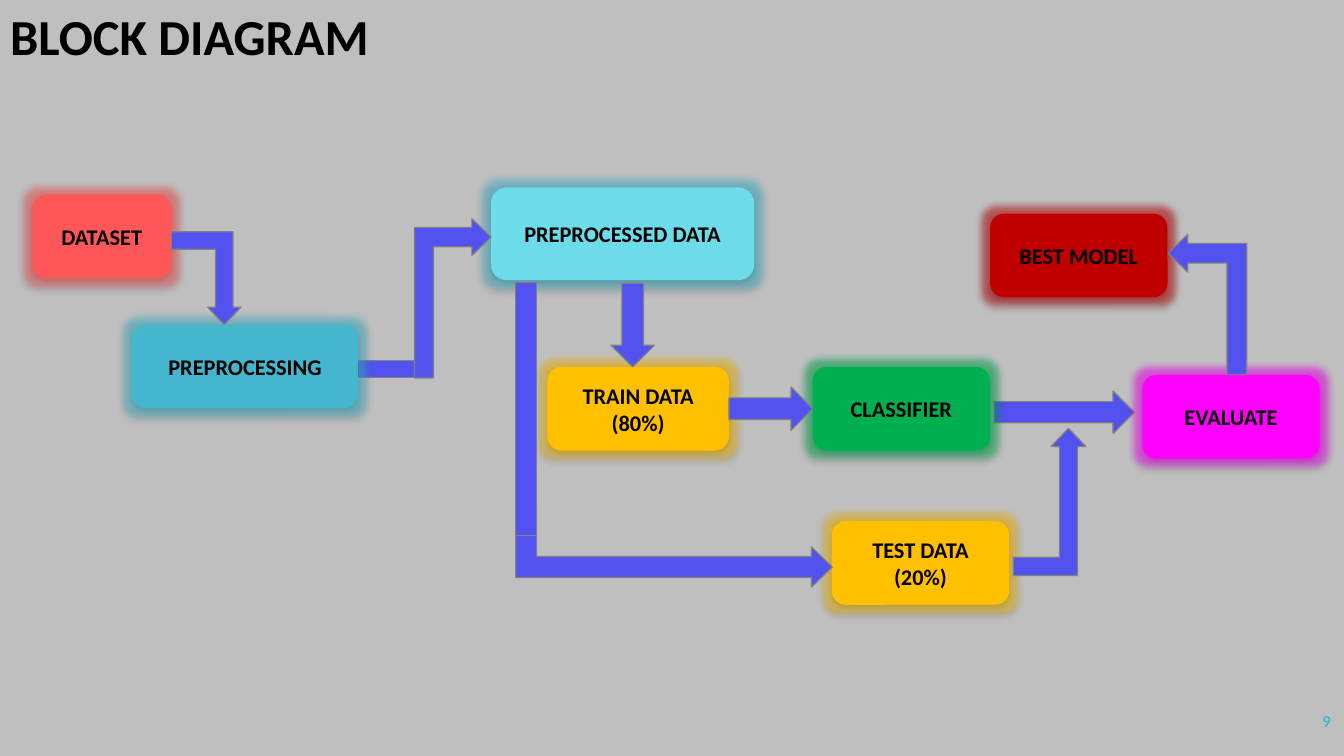
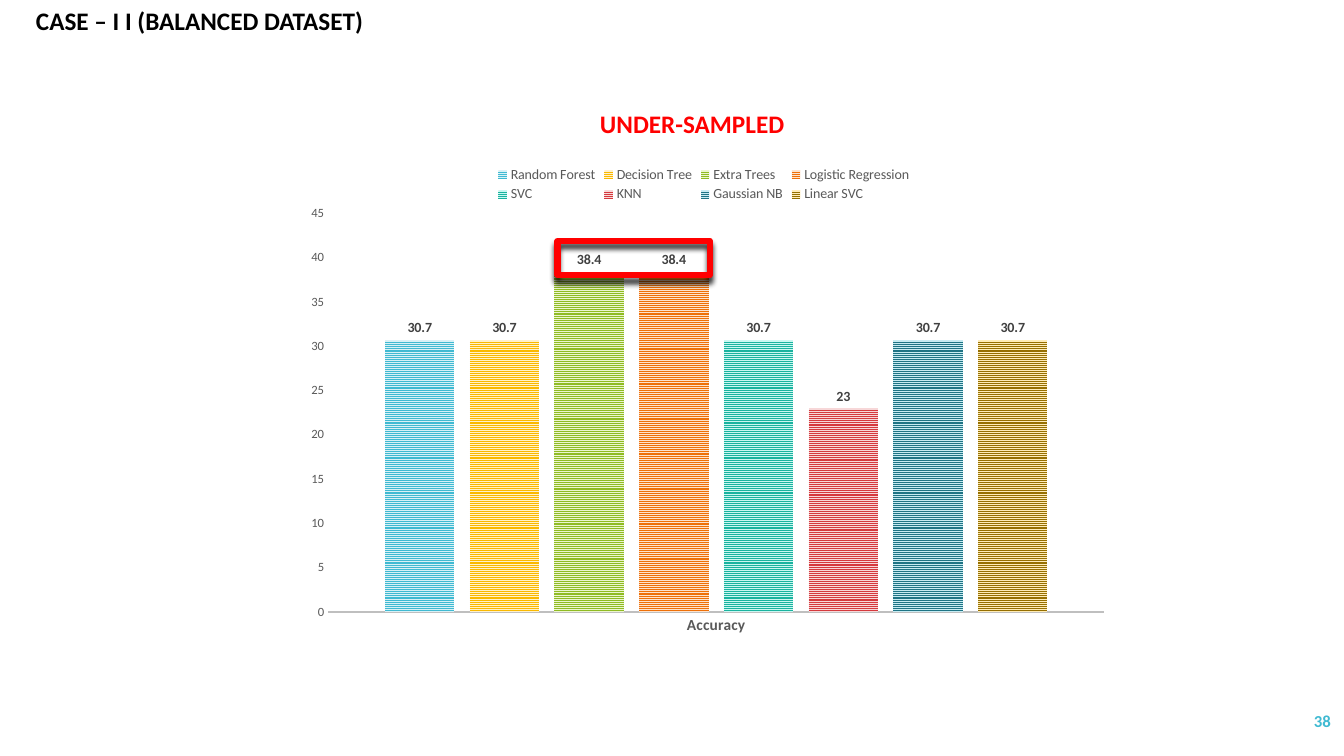
from lxml import etree
from pptx import Presentation
from pptx.chart.data import CategoryChartData
from pptx.dml.color import RGBColor
from pptx.enum.chart import XL_CHART_TYPE, XL_LABEL_POSITION, XL_LEGEND_POSITION, XL_TICK_MARK
from pptx.enum.dml import MSO_PATTERN
from pptx.enum.shapes import MSO_SHAPE
from pptx.enum.text import MSO_ANCHOR, MSO_AUTO_SIZE, PP_ALIGN
from pptx.oxml.ns import qn
from pptx.util import Pt

PX = 9144
LEFT, MID, RIGHT = PP_ALIGN.LEFT, PP_ALIGN.CENTER, PP_ALIGN.RIGHT
TOP, CENTER = MSO_ANCHOR.TOP, MSO_ANCHOR.MIDDLE
FIXED = MSO_AUTO_SIZE.NONE
ROUND, RECT = MSO_SHAPE.ROUNDED_RECTANGLE, MSO_SHAPE.RECTANGLE
UP, BENT, EAST = MSO_SHAPE.UP_ARROW, MSO_SHAPE.BENT_UP_ARROW, MSO_SHAPE.RIGHT_ARROW
COLUMN = XL_CHART_TYPE.COLUMN_CLUSTERED
OUTER = XL_LABEL_POSITION.OUTSIDE_END
ABOVE = XL_LEGEND_POSITION.TOP
NO_TICK = XL_TICK_MARK.NONE
STRIPE = MSO_PATTERN.NARROW_HORIZONTAL

HUE = {
    "ink": "000000", "white": "FFFFFF", "gray": "BFBFBF", "edge": "808080",
    "arrow": "5252F0", "teal": "40BAD2", "coral": "FF5757", "aqua": "6CDBEA",
    "gold": "FFC000", "green": "00B050", "wine": "C00000", "pink": "FF00FF",
    "red": "FF0000", "label": "404040", "axis": "595959",
}
TITLE = {"size": 36, "bold": True, "color": "ink"}
CASE = {"size": 18, "bold": True, "color": "ink"}
HEAD = {"size": 18, "bold": True, "color": "red"}
BOX = {"size": 16, "bold": True, "color": "ink"}
PAGE = {"size": 12, "bold": True, "color": "teal"}
TICK = {"size": 9, "bold": False, "color": "axis"}
GROUP = {"size": 11, "bold": True, "color": "axis"}
KEY = {"size": 10, "bold": False, "color": "axis"}
VALUE = {"size": 10, "bold": True, "color": "label"}

BOXES = [
    ("DATASET", (32, 193, 138, 83), "coral", "coral"),
    ("PREPROCESSED DATA", (487, 186, 261, 92), "aqua", "teal"),
    ("TRAIN DATA (80%)", (543, 364, 180, 83), "gold", "gold"),
    ("TEST DATA (20%)", (825, 517, 176, 83), "gold", "gold"),
    ("PREPROCESSING", (131, 322, 224, 83), "teal", "teal"),
    ("CLASSIFIER", (806, 364, 176, 83), "green", "green"),
    ("BEST MODEL", (982, 212, 176, 83), "wine", "wine"),
    ("EVALUATE", (1133, 372, 176, 83), "pink", "pink"),
]
BACK = [
    (RECT, (383, 328, 17, 76), 270, False),
    (EAST, (986, 388, 139, 42), 0, False),
]
FRONT = [
    (UP, (606, 281, 43, 83), 180, False),
    (BENT, (170, 230, 69, 92), 0, True),
    (BENT, (370, 258, 158, 76), 270, True),
    (BENT, (1005, 425, 72, 146), 0, False),
    (BENT, (627, 384, 83, 314), 90, False),
    (RECT, (511, 280, 21, 251), 180, False),
    (UP, (743, 364, 43, 83), 90, False),
    (BENT, (1128, 263, 139, 78), 270, False),
]
SERIES = [
    ("Random Forest", 30.7, "40BAD2", "D9F1F6"),
    ("Decision Tree", 30.7, "FAB900", "FFF1CB"),
    ("Extra Trees", 38.4, "90BB23", "EBF6CE"),
    ("Logistic Regression", 38.4, "EE7008", "FDE2CC"),
    ("SVC", 30.7, "1AB39F", "CAF7F1"),
    ("KNN", 23, "D5393D", "F7D7D8"),
    ("Gaussian NB", 30.7, "1F7485", "C7EBF2"),
    ("Linear SVC", 30.7, "966F00", "FFECB7"),
]
PLOT = {"layoutTarget": "inner", "xMode": "edge", "yMode": "edge",
        "x": "0.05", "y": "0.12", "w": "0.93", "h": "0.82"}


def rgb(name):
    return RGBColor.from_string(HUE.get(name, name))


def scale(box):
    return [n * PX for n in box]


def assign(item, values):
    for key, value in values.items():
        setattr(item, key, value)


def style(font, look):
    assign(font, {"name": "Calibri", "size": Pt(look["size"]), "bold": look["bold"]})
    font.color.rgb = rgb(look["color"])


def place(shape, box):
    assign(shape, dict(zip(("left", "top", "width", "height"), scale(box))))


def write(shape, text, look, align=MID, anchor=CENTER):
    frame = shape.text_frame
    assign(frame, {"word_wrap": True, "auto_size": FIXED, "vertical_anchor": anchor})
    line = frame.paragraphs[0]
    line.alignment = align
    run = line.add_run()
    run.text = text
    style(run.font, look)


def note(slide, box, text, look, align, anchor):
    write(slide.shapes.add_textbox(*scale(box)), text, look, align, anchor)


def tint(parent, name, alpha):
    color = etree.SubElement(parent, qn("a:srgbClr"), val=HUE[name])
    etree.SubElement(color, qn("a:alpha"), val=str(alpha * 1000))


def shade(shape, alpha, blur, drop, glow=None):
    prop = shape.element.spPr
    for old in prop.findall(qn("a:effectLst")):
        prop.remove(old)
    group = etree.SubElement(prop, qn("a:effectLst"))
    if glow:
        tint(etree.SubElement(group, qn("a:glow"), rad=str(Pt(11))), glow, 50)
    shadow = etree.SubElement(group, qn("a:outerShdw"), blurRad=str(Pt(blur)),
                              dist=str(Pt(drop)), dir="5400000", rotWithShape="0")
    tint(shadow, "ink", alpha)


def begin(deck, back, box, title, look, align, page):
    slide = deck.slides.add_slide(deck.slide_layouts[5])
    fill = slide.background.fill
    fill.solid()
    fill.fore_color.rgb = rgb(back)
    place(slide.shapes.title, box)
    write(slide.shapes.title, title, look, align, TOP)
    note(slide, (1163, 695, 167, 40), page, PAGE, RIGHT, CENTER)
    return slide


def block(slide, text, box, hue, glow):
    shape = slide.shapes.add_shape(ROUND, *scale(box))
    shape.fill.solid()
    shape.fill.fore_color.rgb = rgb(hue)
    shape.line.fill.background()
    shade(shape, 32, 3.5, 2.2, glow)
    if hue == "teal":
        color = shape.element.spPr.find(qn("a:solidFill"))[0]
        etree.SubElement(color, qn("a:alpha"), val="88000")
    write(shape, text, BOX)


def arrow(slide, kind, box, turn, flip):
    shape = slide.shapes.add_shape(kind, *scale(box))
    shape.shadow.inherit = False
    shape.rotation = turn
    if flip:
        shape.element.spPr.find(qn("a:xfrm")).set("flipV", "1")
    if kind == BENT:
        for i, ratio in enumerate((0.25, 0.24, 0.25)):
            shape.adjustments[i] = ratio
    shape.fill.solid()
    shape.fill.fore_color.rgb = rgb("arrow")
    shape.line.color.rgb = rgb("edge")
    shape.line.width = Pt(0.85)


def flow(deck):
    slide = begin(deck, "gray", (0, 0, 414, 71), "BLOCK DIAGRAM", TITLE, LEFT, "9")
    for part in BACK:
        arrow(slide, *part)
    for part in BOXES:
        block(slide, *part)
    for part in FRONT:
        arrow(slide, *part)


def fit(chart):
    area = chart.element.find(".//" + qn("c:plotArea"))
    for old in area.findall(qn("c:layout")):
        area.remove(old)
    layout = etree.Element(qn("c:layout"))
    area.insert(0, layout)
    manual = etree.SubElement(layout, qn("c:manualLayout"))
    for key, value in PLOT.items():
        etree.SubElement(manual, qn("c:" + key), val=value)


def bars(slide, box):
    data = CategoryChartData()
    data.categories = ["Accuracy"]
    for name, score, *_ in SERIES:
        data.add_series(name, [score])
    chart = slide.shapes.add_chart(COLUMN, *scale(box), data).chart
    style(chart.font, {"size": 10, "bold": False, "color": "ink"})
    assign(chart, {"has_title": False, "has_legend": True})
    assign(chart.legend, {"position": ABOVE, "include_in_layout": False})
    style(chart.legend.font, KEY)
    plot = chart.plots[0]
    assign(plot, {"gap_width": 164, "overlap": -22, "vary_by_categories": False})
    for series, (_, _, front, back) in zip(plot.series, SERIES):
        fill = series.format.fill
        fill.patterned()
        fill.pattern = STRIPE
        fill.fore_color.rgb = rgb(front)
        fill.back_color.rgb = rgb(back)
        series.invert_if_negative = False
        labels = series.data_labels
        assign(labels, {"show_value": True, "position": OUTER})
        style(labels.font, VALUE)
    for axis, look in ((chart.category_axis, GROUP), (chart.value_axis, TICK)):
        assign(axis, {"has_major_gridlines": False, "major_tick_mark": NO_TICK,
                      "minor_tick_mark": NO_TICK})
        style(axis.tick_labels.font, look)
    line = chart.category_axis.format.line
    line.color.rgb = rgb("gray")
    line.width = Pt(1.5)
    assign(chart.value_axis, {"minimum_scale": 0, "maximum_scale": 45, "major_unit": 5})
    chart.value_axis.format.line.fill.background()
    fit(chart)


def frame(slide, box):
    shape = slide.shapes.add_shape(RECT, *scale(box))
    shape.fill.background()
    shape.line.color.rgb = rgb("red")
    shape.line.width = Pt(4.5)
    shade(shape, 80, 4, 4)


def score(deck):
    slide = begin(deck, "white", (0, 0, 396, 40), "CASE – I I (BALANCED DATASET)",
                  CASE, MID, "38")
    note(slide, (353, 103, 667, 40), "UNDER-SAMPLED", HEAD, MID, TOP)
    bars(slide, (284, 154, 828, 482))
    frame(slide, (553, 239, 151, 34))


def main():
    deck = Presentation()
    assign(deck, {"slide_width": 1333 * PX, "slide_height": 750 * PX})
    flow(deck)
    score(deck)
    deck.save("out.pptx")


if __name__ == "__main__":
    main()
